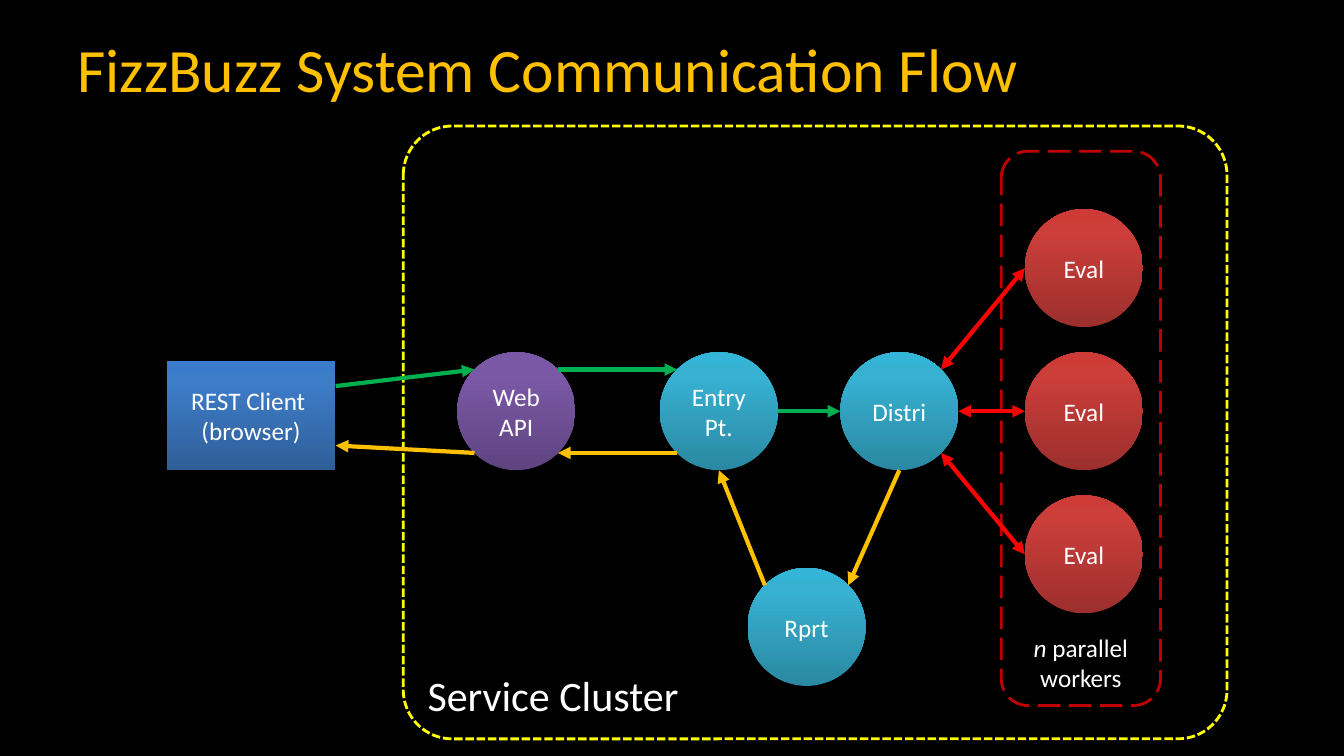
import copy
import math
from lxml import etree
from pptx import Presentation
from pptx import util as u
from pptx.dml.color import RGBColor
from pptx.enum import dml, shapes, text
from pptx.oxml import ns

BLACK = RGBColor(0x00, 0x00, 0x00)
WHITE = RGBColor(0xFF, 0xFF, 0xFF)
YELLOW = RGBColor(0xFF, 0xFF, 0x00)
DARK_RED = RGBColor(0xC0, 0x00, 0x00)
GOLD = RGBColor(0xFF, 0xC0, 0x00)
GREEN = RGBColor(0x00, 0xB0, 0x50)
RED = RGBColor(0xFF, 0x00, 0x00)
TEAL_SHADES = [RGBColor(0x2A, 0x88, 0xA2), RGBColor(0x37, 0xB1, 0xD2), RGBColor(0x34, 0xB4, 0xD6)]
RED_SHADES = [RGBColor(0x9C, 0x2F, 0x2D), RGBColor(0xCB, 0x3E, 0x3A), RGBColor(0xCE, 0x3B, 0x37)]
BLUE_SHADES = [RGBColor(0x2F, 0x5F, 0x99), RGBColor(0x3D, 0x7C, 0xC7), RGBColor(0x3A, 0x7C, 0xCB)]
PURPLE_SHADES = [RGBColor(0x5F, 0x44, 0x80), RGBColor(0x7B, 0x58, 0xA6), RGBColor(0x7C, 0x57, 0xA8)]

DIAMETER = 1.17
ROW = 4.08
ROW_STEP = 1.42


def write_text(shape, lines, size, color, alignment, anchor):
    frame = shape.text_frame
    frame.word_wrap = True
    frame.vertical_anchor = anchor
    for index, runs in enumerate(lines):
        paragraph = frame.add_paragraph() if index else frame.paragraphs[0]
        paragraph.alignment = alignment
        for words, italic in runs:
            run = paragraph.add_run()
            run.text = words
            run.font.color.rgb = color
            font_format = {"name": "Calibri", "size": u.Pt(size), "italic": italic}
            for attribute, value in font_format.items():
                setattr(run.font, attribute, value)


def circle_point(name, degrees):
    x, y = centers[name]
    angle = math.radians(degrees)
    return x + DIAMETER / 2 * math.cos(angle), y + DIAMETER / 2 * math.sin(angle)


presentation = Presentation()
presentation.slide_width = u.Inches(13.33)
presentation.slide_height = u.Inches(7.5)
slide = presentation.slides.add_slide(presentation.slide_layouts[6])
slide.background.fill.solid()
slide.background.fill.fore_color.rgb = BLACK

LEFT, CENTER = text.PP_ALIGN.LEFT, text.PP_ALIGN.CENTER
MIDDLE, BOTTOM = text.MSO_ANCHOR.MIDDLE, text.MSO_ANCHOR.BOTTOM
RECTANGLE, OVAL = shapes.MSO_SHAPE.RECTANGLE, shapes.MSO_SHAPE.OVAL

frames = [
    ((4, 1.25, 8.17, 6.08), 0.08, YELLOW, dml.MSO_LINE.SQUARE_DOT,
     [("Service Cluster", False)], 30, LEFT),
    ((9.93, 1.5, 1.58, 5.5), 0.17, DARK_RED, dml.MSO_LINE.LONG_DASH,
     [("n", True), (" parallel workers", False)], 18, CENTER),
]
for box, rounding, color, dash, runs, size, alignment in frames:
    shape = slide.shapes.add_shape(shapes.MSO_SHAPE.ROUNDED_RECTANGLE, *map(u.Inches, box))
    shape.adjustments[0] = rounding
    shape.shadow.inherit = False
    shape.fill.background()
    shape.line.color.rgb = color
    shape.line.width = u.Pt(2)
    shape.line.dash_style = dash
    write_text(shape, [runs], size, WHITE, alignment, BOTTOM)

title = slide.shapes.add_textbox(*map(u.Inches, (0.67, 0.17, 12, 1)))
write_text(title, [[("FizzBuzz System Communication Flow", False)]], 44, GOLD, LEFT, MIDDLE)

centers = {
    "client": (2.49, 4.12),
    "web": (5.12, ROW),
    "entry": (7.13, ROW),
    "distributor": (8.92, ROW),
    "report": (8, 6.22),
    "evaluator 1": (10.75, ROW - ROW_STEP),
    "evaluator 2": (10.75, ROW),
    "evaluator 3": (10.75, ROW + ROW_STEP),
}
labels = {
    "client": (["REST Client ", "(browser)"], BLUE_SHADES),
    "web": (["Web", "API"], PURPLE_SHADES),
    "entry": (["Entry", "Pt."], TEAL_SHADES),
    "distributor": (["Distri"], TEAL_SHADES),
    "report": (["Rprt"], TEAL_SHADES),
    "evaluator 1": (["Eval"], RED_SHADES),
    "evaluator 2": (["Eval"], RED_SHADES),
    "evaluator 3": (["Eval"], RED_SHADES),
}
for name, (x, y) in centers.items():
    lines, shades = labels[name]
    kind, width, height = (RECTANGLE, 1.67, 1.08) if name == "client" else (OVAL, DIAMETER, DIAMETER)
    box = (x - width / 2, y - height / 2, width, height)
    shape = slide.shapes.add_shape(kind, *map(u.Inches, box))
    shape.shadow.inherit = False
    shape.line.fill.background()
    shape.fill.gradient()
    shape.fill.gradient_angle = 90
    stop_list = shape._element.spPr.find(".//" + ns.qn("a:gsLst"))
    stop_list.append(copy.deepcopy(stop_list[-1]))
    for stop, position, shade in zip(shape.fill.gradient_stops, (0, 0.8, 1), shades):
        stop.position = position
        stop.color.rgb = shade
    write_text(shape, [[(line, False)] for line in lines], 18, WHITE, CENTER, MIDDLE)

arrows = [
    ((3.33, 3.83), circle_point("web", 225), GREEN),
    (circle_point("web", 315), circle_point("entry", 225), GREEN),
    (circle_point("entry", 0), circle_point("distributor", 180), GREEN),
    (circle_point("distributor", 315), circle_point("evaluator 1", 180), RED),
    (circle_point("distributor", 0), circle_point("evaluator 2", 180), RED),
    (circle_point("distributor", 45), circle_point("evaluator 3", 180), RED),
    (circle_point("distributor", 90), circle_point("report", 315), GOLD),
    (circle_point("report", 225), circle_point("entry", 90), GOLD),
    (circle_point("entry", 135), circle_point("web", 45), GOLD),
    (circle_point("web", 135), (3.33, 4.42), GOLD),
]
for start, end, color in arrows:
    arrow = slide.shapes.add_connector(shapes.MSO_CONNECTOR.STRAIGHT, *map(u.Inches, start + end))
    arrow.line.color.rgb = color
    arrow.line.width = u.Pt(3)
    line_element = arrow.line._get_or_add_ln()
    for tag in ["a:headEnd", "a:tailEnd"] if color == RED else ["a:tailEnd"]:
        etree.SubElement(line_element, ns.qn(tag), type="triangle")
    etree.SubElement(arrow._element.spPr, ns.qn("a:effectLst"))

presentation.save("out.pptx")
